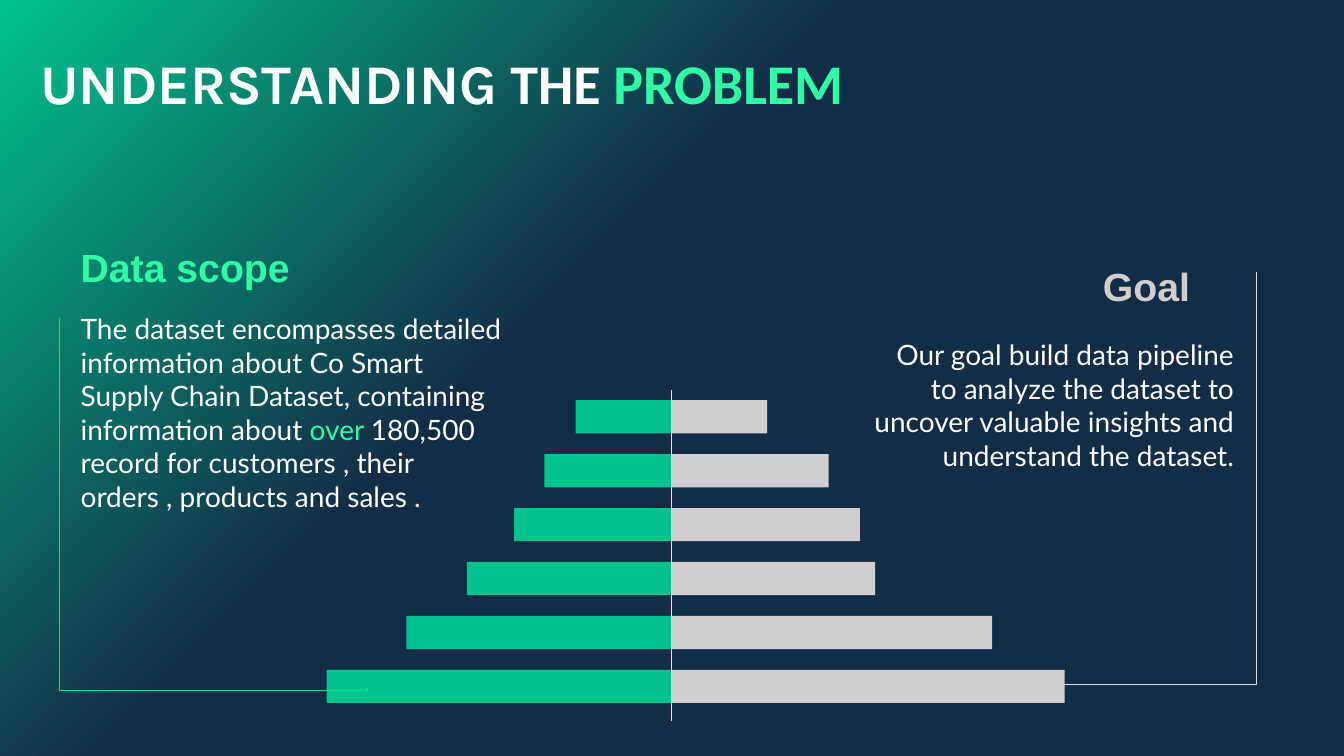
from lxml.etree import SubElement
from pptx import Presentation
from pptx.dml.color import RGBColor
from pptx.enum.shapes import MSO_CONNECTOR, MSO_SHAPE
from pptx.enum.text import MSO_ANCHOR, MSO_AUTO_SIZE, PP_ALIGN
from pptx.oxml.ns import qn
from pptx.util import Inches, Pt

# Content
COLOURS = {"green": "01C38D", "navy": "132D46", "mint": "2DFFA5", "white": "FFFFFF",
           "grey": "D0CECE", "spine": "FFD6E1", "scope": "00E683", "goal": "E0DFE4"}

# Each run: words, font, colour
TITLE = [("UNDERSTANDING", "Karla", "white"), (" THE ", "Calibri", "white"),
         ("PROBLEM", "Calibri", "mint")]
SCOPE_HEADING = [("Data scope", "Arial", "mint")]
SCOPE_BODY = [("The dataset encompasses detailed information about Co Smart Supply Chain "
               "Dataset, containing information about ", "Lato", "white"),
              ("over ", "Lato", "mint"),
              ("180,500 record for customers , their orders , products and sales .",
               "Lato", "white")]
GOAL_HEADING = [("Goal ", "Arial", "grey")]
GOAL_BODY = [("Our goal build data pipeline to analyze the dataset to uncover valuable "
              "insights and understand the dataset.", "Lato", "white")]

# Placeholder index: runs, box, size, bold, anchor, alignment
TEXTS = {
    0: (TITLE, (0.3, 0.49, 8.86, 0.76), 40, True, MSO_ANCHOR.BOTTOM, PP_ALIGN.LEFT),
    1: (SCOPE_HEADING, (0.7, 2.22, 2.46, 0.76), 28, True, MSO_ANCHOR.BOTTOM, PP_ALIGN.LEFT),
    2: (SCOPE_BODY, (0.7, 2.99, 4.44, 1.47), 20, False, MSO_ANCHOR.TOP, PP_ALIGN.LEFT),
    3: (GOAL_HEADING, (10.64, 2.41, 1.37, 0.76), 28, True, MSO_ANCHOR.BOTTOM, PP_ALIGN.RIGHT),
    4: (GOAL_BODY, (8.52, 3.25, 3.82, 1.69), 20, False, MSO_ANCHOR.TOP, PP_ALIGN.RIGHT),
}

# Bar lengths from top to bottom, on each side of the spine
GREEN_BARS = [0.95, 1.26, 1.56, 2.03, 2.63, 3.42]
GREY_BARS = [0.95, 1.56, 1.87, 2.02, 3.18, 3.9]
SPINE_X, SPINE_TOP, SPINE_BOTTOM = 6.66, 3.87, 7.15
FIRST_BAR, BAR_PITCH, BAR_HEIGHT = 3.97, 0.535, 0.33

# Elbow lines: start, end, share of the drop at the bend, rotation, flip, colour
GOAL_LINE = ((12.46, 2.7), (9.55, 6.97), 0.959, 90, False, "goal")
SCOPE_LINE = ((0.59, 3.16), (3.65, 6.83), 1.006, 270, True, "scope")


def colour(name):
    return RGBColor.from_string(COLOURS[name])


def write(placeholder, runs, box, size, bold, anchor, align):
    placeholder.left, placeholder.top, placeholder.width, placeholder.height = map(Inches, box)
    frame = placeholder.text_frame
    frame.word_wrap, frame.auto_size = True, MSO_AUTO_SIZE.NONE
    frame.vertical_anchor = anchor
    frame.margin_left = frame.margin_right = Inches(0.1)
    frame.margin_top = frame.margin_bottom = Inches(0.1)
    paragraph = frame.paragraphs[0]
    properties = paragraph._p.get_or_add_pPr()
    properties.set("marL", "0")
    properties.set("indent", "0")
    SubElement(properties, qn("a:buNone"))
    paragraph.alignment = align
    paragraph.space_before = Pt(0)
    for words, font, tint in runs:
        run = paragraph.add_run()
        run.text = words
        run.font.name, run.font.size, run.font.bold = font, Pt(size), bold
        run.font.color.rgb = colour(tint)


def draw_line(kind, left, top, right, bottom, tint):
    line = slide.shapes.add_connector(kind, *map(Inches, (left, top, right, bottom)))
    line.line.color.rgb = colour(tint)
    line.line.width = Pt(0.75)
    SubElement(line._element.spPr, qn("a:effectLst"))
    return line


def draw_elbow(start, end, bend, rotation, flip, tint):
    # The frame is given before its quarter turn, so width and height swap
    (x1, y1), (x2, y2) = start, end
    centre_x, centre_y = (x1 + x2) / 2, (y1 + y2) / 2
    half_width, half_height = abs(y2 - y1) / 2, abs(x2 - x1) / 2
    elbow = draw_line(MSO_CONNECTOR.ELBOW, centre_x - half_width, centre_y - half_height,
                      centre_x + half_width, centre_y + half_height, tint)
    properties = elbow._element.spPr
    frame = properties.find(qn("a:xfrm"))
    frame.set("rot", str(rotation * 60000))
    if flip:
        frame.set("flipH", "1")
    guides = properties.find(qn("a:prstGeom")).find(qn("a:avLst"))
    SubElement(guides, qn("a:gd"), name="adj1", fmla=f"val {round(bend * 100000)}")


def draw_bar(left, row, length, tint):
    top = FIRST_BAR + row * BAR_PITCH
    bar = slide.shapes.add_shape(MSO_SHAPE.RECTANGLE,
                                 *map(Inches, (left, top, length, BAR_HEIGHT)))
    bar.shadow.inherit = False
    bar.fill.solid()
    bar.fill.fore_color.rgb = colour(tint)
    bar.line.fill.background()


deck = Presentation()
deck.slide_width, deck.slide_height = Inches(13.33), Inches(7.5)
slide = deck.slides.add_slide(deck.slide_layouts[4])

# Background
backdrop = slide.background.fill
backdrop.gradient()
backdrop.gradient_angle = 315
for stop, position, tint in zip(backdrop.gradient_stops, (0, 0.41), ("green", "navy")):
    stop.position = position
    stop.color.rgb = colour(tint)

# Title, headings and texts
for placeholder in slide.placeholders:
    if placeholder.placeholder_format.idx in TEXTS:
        write(placeholder, *TEXTS[placeholder.placeholder_format.idx])

# Pyramid of bars with the lines that lead to it
draw_elbow(*GOAL_LINE)
for row, (green, grey) in enumerate(zip(GREEN_BARS, GREY_BARS)):
    draw_bar(SPINE_X, row, grey, "grey")
    draw_bar(SPINE_X - green, row, green, "green")
draw_line(MSO_CONNECTOR.STRAIGHT, SPINE_X, SPINE_TOP, SPINE_X, SPINE_BOTTOM, "spine")
draw_elbow(*SCOPE_LINE)

deck.save("out.pptx")
